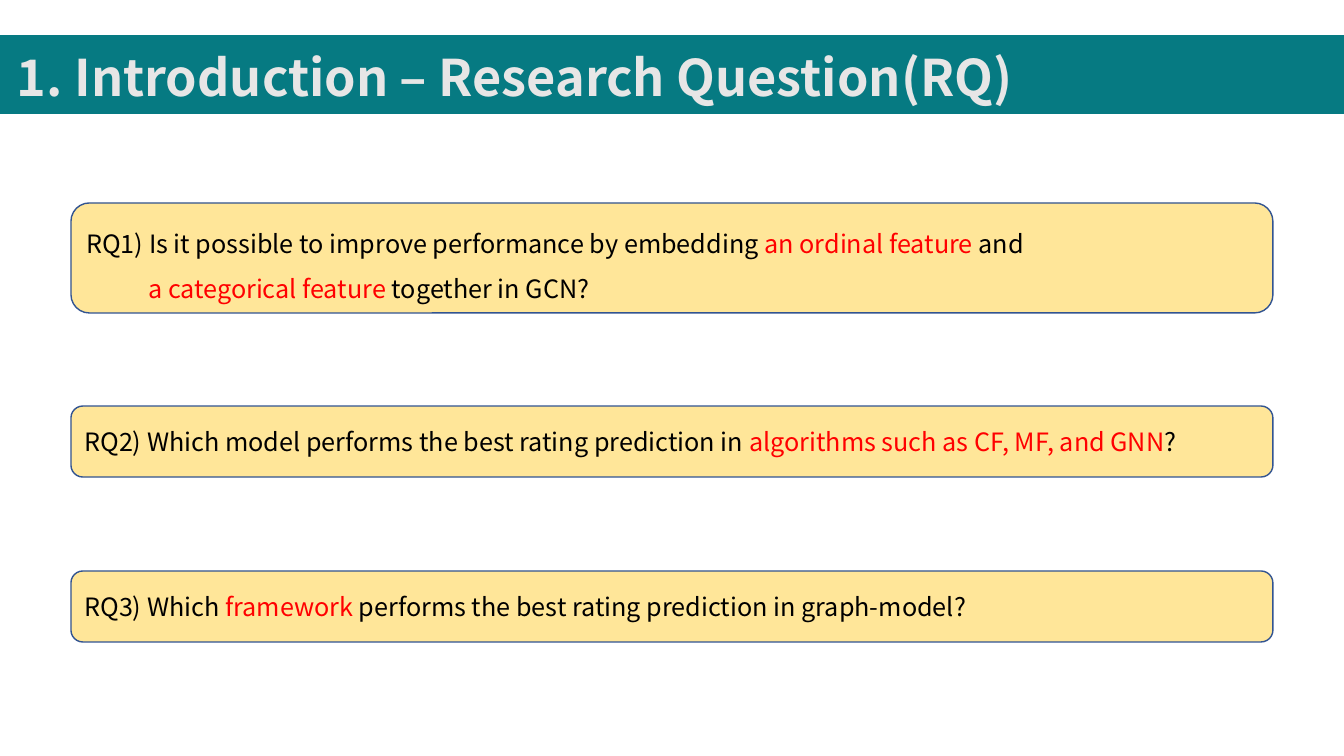
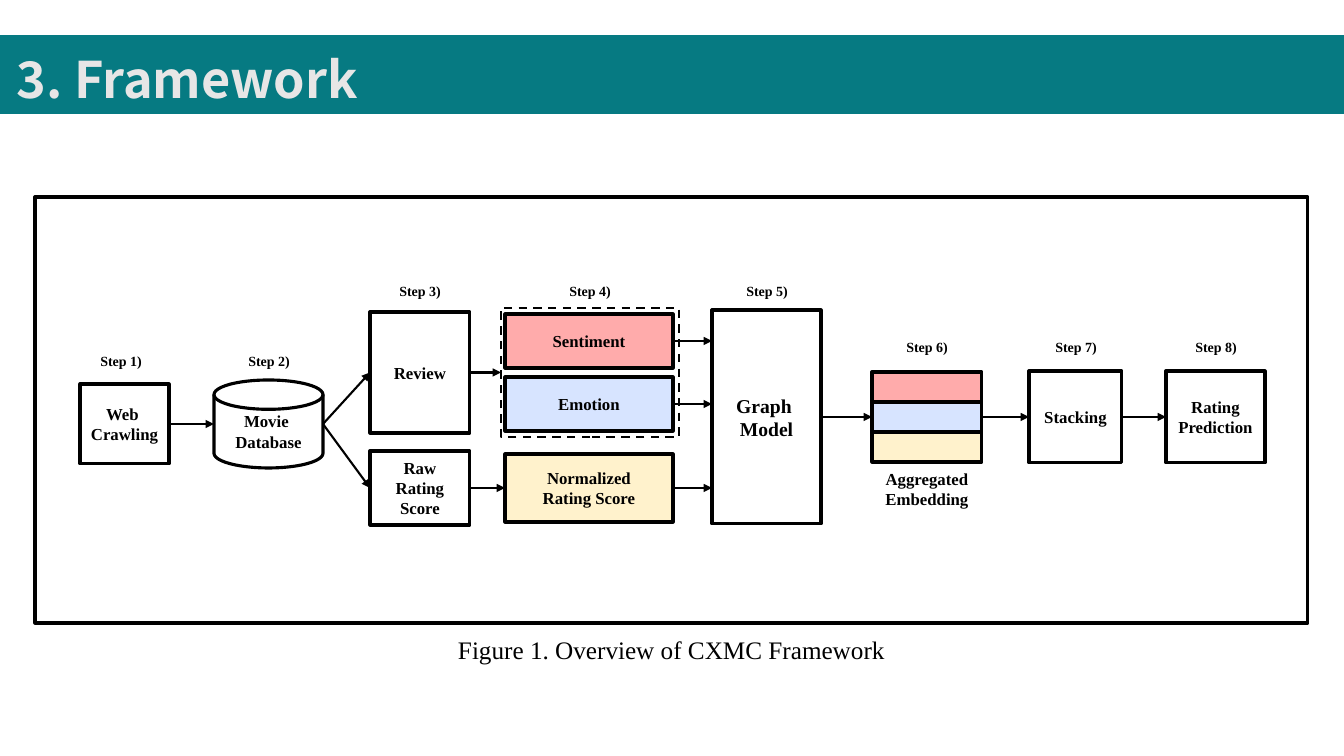
from pptx import Presentation
from pptx.dml.color import RGBColor
from pptx.enum.dml import MSO_LINE
from pptx.enum.shapes import MSO_CONNECTOR, MSO_SHAPE
from pptx.enum.text import MSO_ANCHOR, MSO_AUTO_SIZE, PP_ALIGN
from pptx.oxml.ns import qn
from pptx.util import Emu, Pt
from lxml.etree import SubElement

WIDE, HIGH = 1344, 756
SCALE = 12192000 / WIDE
SANS, SERIF = "Noto Sans CJK KR", "Times New Roman"
COLORS = {
    "teal": "067A82", "pale": "E7E6E6", "gold": "FFE699", "navy": "325491",
    "red": "FF0000", "black": "000000", "white": "FFFFFF",
    "pink": "FFABAB", "blue": "D7E4FF", "cream": "FFF2CC",
}
# Text formats
TITLE = {"name": SANS, "size": Pt(36), "bold": True}
QUERY = {"name": SANS, "size": Pt(18)}
LABEL = {"name": SERIF, "size": Pt(12), "bold": True}
LARGE = {**LABEL, "size": Pt(14)}
STEP = {**LABEL, "size": Pt(10)}
NOTE = {"name": SERIF, "size": Pt(18)}

LEFT, RIGHT = 1, 3  # connection sites


def px(num):
    return Emu(round(num * SCALE))


def color(name):
    return RGBColor.from_string(COLORS[name])


def write(shape, text, form, tint="black", align=PP_ALIGN.CENTER,
          space=None, indent=0):
    """Newlines part paragraphs; bars enclose words in red."""
    frame = shape.text_frame
    frame.word_wrap = True
    for row, line in enumerate(text.split("\n")):
        para = frame.add_paragraph() if row else frame.paragraphs[0]
        para.alignment = align
        if space:
            para.line_spacing = space
        if row and indent:
            para._p.get_or_add_pPr().set("marL", str(px(indent)))
        for turn, part in enumerate(line.split("|")):
            if part:
                run = para.add_run()
                run.text = part
                for key, value in form.items():
                    setattr(run.font, key, value)
                run.font.color.rgb = color("red" if turn % 2 else tint)


def block(slide, area, fill=None, line="black", weight=2.25,
          kind=MSO_SHAPE.RECTANGLE):
    shape = slide.shapes.add_shape(kind, *map(px, area))
    shape.shadow.inherit = False
    if fill:
        shape.fill.solid()
        shape.fill.fore_color.rgb = color(fill)
    else:
        shape.fill.background()
    if line:
        shape.line.color.rgb = color(line)
        shape.line.width = Pt(weight)
    else:
        shape.line.fill.background()
    shape.text_frame.vertical_anchor = MSO_ANCHOR.MIDDLE
    return shape


def node(slide, area, text, fill=None, form=LABEL, kind=MSO_SHAPE.RECTANGLE):
    shape = block(slide, area, fill, kind=kind)
    write(shape, text, form)
    return shape


def label(slide, area, text, form, **style):
    box = slide.shapes.add_textbox(*map(px, area))
    box.text_frame.auto_size = MSO_AUTO_SIZE.SHAPE_TO_FIT_TEXT
    write(box, text, form, **style)
    return box


def arrow(slide, start, end):
    """Each end is a point, or a shape whose side is joined."""
    first, last = (e if isinstance(e, tuple) else (0, 0) for e in (start, end))
    line = slide.shapes.add_connector(
        MSO_CONNECTOR.STRAIGHT, *map(px, first + last))
    if not isinstance(start, tuple):
        line.begin_connect(start, RIGHT)
    if not isinstance(end, tuple):
        line.end_connect(end, LEFT)
    line.line.color.rgb = color("black")
    line.line.width = Pt(1.5)
    SubElement(line.line._get_or_add_ln(), qn("a:tailEnd"), type="triangle")
    SubElement(line._element.spPr, qn("a:effectLst"))


def page(deck, title, top):
    slide = deck.slides.add_slide(deck.slide_layouts[6])
    block(slide, (0, 35, WIDE, 79), "teal", None)
    box = label(slide, (7, top, 1337, 93), title, TITLE, tint="pale",
                align=PP_ALIGN.LEFT, space=1.5)
    box.text_frame.vertical_anchor = MSO_ANCHOR.MIDDLE
    return slide


def query(slide, top, high, text, **style):
    shape = block(slide, (71, top, 1202, high), "gold", "navy", 1,
                  MSO_SHAPE.ROUNDED_RECTANGLE)
    write(shape, text, QUERY, align=PP_ALIGN.LEFT, **style)
    return shape


def intro(deck):
    slide = page(deck, "1. Introduction – Research Question(RQ)", 15)
    first = query(
        slide, 203, 110,
        "RQ1) Is it possible to improve performance by embedding "
        "|an ordinal feature |and\n|a categorical feature |together in GCN?",
        space=1.5, indent=62)
    first.text_frame.vertical_anchor = MSO_ANCHOR.TOP
    query(slide, 406, 71,
          "RQ2) Which model performs the best rating prediction in "
          "|algorithms such as CF, MF, and GNN|?")
    query(slide, 571, 71,
          "RQ3) Which| framework |performs the best rating prediction "
          "in graph-model?")


def flow(deck):
    slide = page(deck, "3. Framework", 17)
    block(slide, (35, 197, 1273, 426))
    label(slide, (411, 629, 521, 40),
          "Figure 1. Overview of CXMC Framework", NOTE)

    # Data sources
    crawl = node(slide, (80, 384, 89, 80), "Web \nCrawling")
    node(slide, (214, 380, 109, 88), "Movie \nDatabase",
         kind=MSO_SHAPE.FLOWCHART_MAGNETIC_DISK)
    view = node(slide, (370, 312, 100, 121), "Review")
    raw = node(slide, (370, 451, 100, 74), "Raw Rating Score")

    # Features and model
    group = block(slide, (501, 308, 178, 129), weight=1.5)
    group.line.dash_style = MSO_LINE.DASH
    mood = node(slide, (505, 314, 168, 54), "Sentiment", "pink")
    feel = node(slide, (505, 377, 168, 54), "Emotion", "blue")
    norm = node(slide, (505, 454, 168, 68), "Normalized\nRating Score", "cream")
    graph = node(slide, (712, 310, 109, 214), "Graph \nModel", "white", LARGE)

    # Embedding and output
    bands = [block(slide, (872, 372 + 30 * row, 110, 30), fill)
             for row, fill in enumerate(("pink", "blue", "cream"))]
    label(slide, (863, 464, 128, 50), "Aggregated\nEmbedding", LABEL)
    stack = node(slide, (1029, 371, 93, 92), "Stacking")
    rate = node(slide, (1166, 371, 99, 92), "Rating\nPrediction")

    # Arrows
    disk = (323, 424)
    for start, end in (
            (crawl, (214, 424)), (disk, view), (disk, raw),
            (view, group), (raw, norm),
            (mood, (712, 341)), (feel, (712, 404)), (norm, (712, 488)),
            (graph, bands[1]), (bands[1], stack), (stack, rate)):
        arrow(slide, start, end)

    # Step numbers
    spots = ((87, 348), (235, 348), (386, 278), (556, 278),
             (733, 278), (893, 334), (1042, 334), (1182, 334))
    for num, (left, top) in enumerate(spots, 1):
        label(slide, (left, top, 68, 27), f"Step {num})", STEP)


def main():
    deck = Presentation()
    deck.slide_width, deck.slide_height = px(WIDE), px(HIGH)
    intro(deck)
    flow(deck)
    deck.save("out.pptx")


if __name__ == "__main__":
    main()
